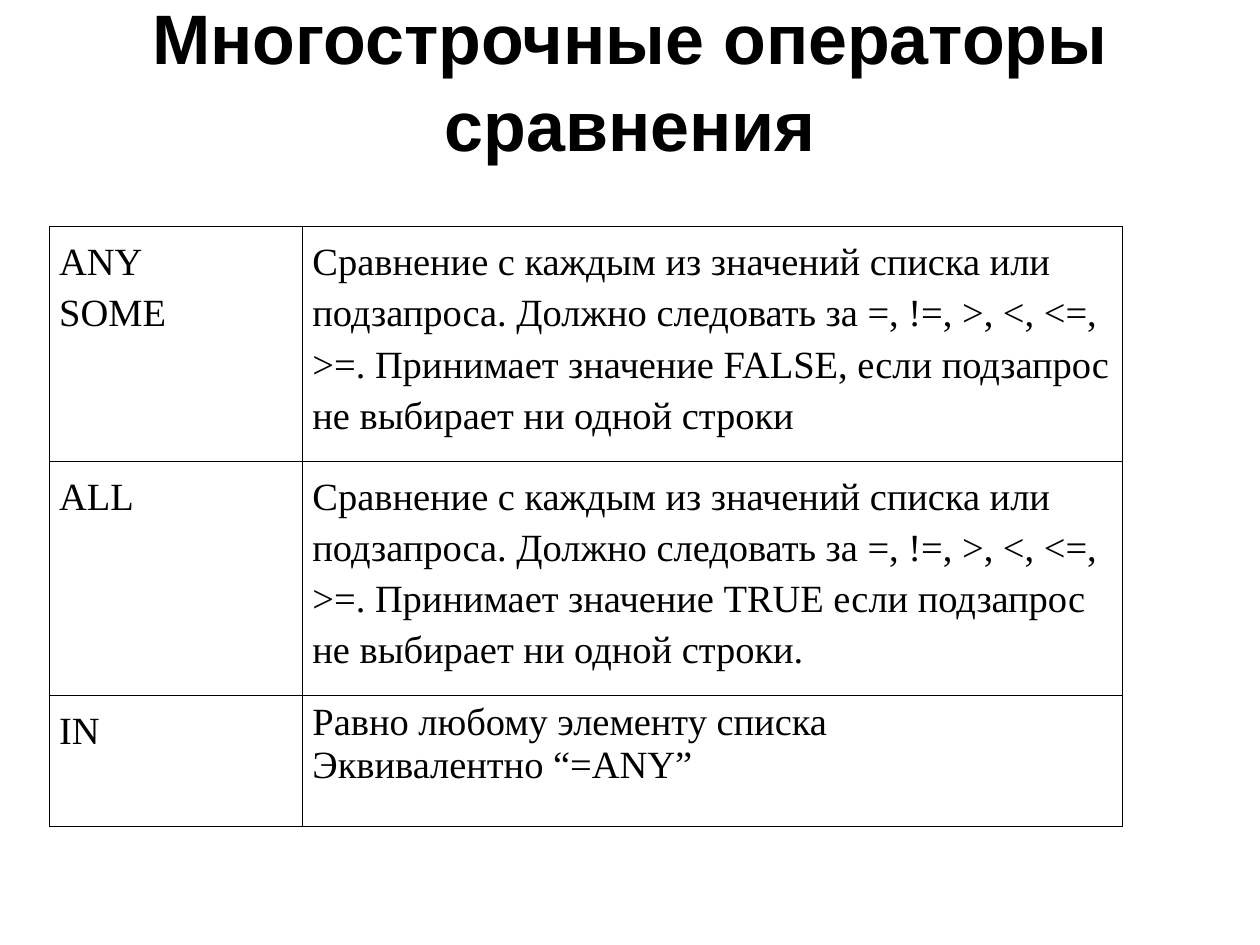
from pptx import Presentation
from pptx.dml.color import RGBColor
from pptx.enum.text import MSO_ANCHOR, PP_ALIGN
from pptx.oxml import parse_xml
from pptx.oxml.ns import nsdecls
from pptx.util import Inches, Pt

BLACK = RGBColor(0, 0, 0)
WHITE = RGBColor(255, 255, 255)

COMPARISON = (
    "Сравнение с каждым из значений списка или подзапроса. "
    "Должно следовать за =, !=, >, <, <=, >=. Принимает значение "
)
OPERATORS = [
    (["ANY", "SOME"],
     [COMPARISON + "FALSE, если подзапрос не выбирает ни одной строки"]),
    (["ALL"],
     [COMPARISON + "TRUE если подзапрос не выбирает ни одной строки."]),
    (["IN"],
     ["Равно любому элементу списка", "Эквивалентно “=ANY”"]),
]
COLUMN_WIDTHS = [2.01, 6.51]
ROW_HEIGHTS = [1.76, 1.76, 1.04]


def add_span(para, text, font_name, size, bold=False):
    """Add one black run to a paragraph."""
    span = para.add_run()
    span.text = text
    span.font.name = font_name
    span.font.size = Pt(size)
    span.font.bold = bold
    span.font.color.rgb = BLACK


def add_title(page, left, top, width, height):
    """Place the centred slide title in the given box."""
    box = page.shapes.add_textbox(left, top, width, height)
    frame = box.text_frame
    frame.word_wrap = True
    frame.vertical_anchor = MSO_ANCHOR.MIDDLE
    para = frame.paragraphs[0]
    para.alignment = PP_ALIGN.CENTER
    para.line_spacing = 1.04
    add_span(para, "Многострочные операторы сравнения", "Arial", 40, True)


def set_borders(cell):
    """Draw a thin black line on every side of a cell."""
    properties = cell._tc.get_or_add_tcPr()
    for index, side in enumerate(("lnL", "lnR", "lnT", "lnB")):
        properties.insert(index, parse_xml(
            f'<a:{side} {nsdecls("a")} w="{Pt(0.45)}"><a:solidFill>'
            f'<a:srgbClr val="{BLACK}"/></a:solidFill></a:{side}>'
        ))


def fill_cell(cell, lines, line_spacing, space_after):
    """Write the lines of a cell and set its look."""
    cell.margin_left = cell.margin_right = Inches(0.08)
    cell.margin_top = cell.margin_bottom = Inches(0.05)
    cell.fill.solid()
    cell.fill.fore_color.rgb = WHITE
    set_borders(cell)
    frame = cell.text_frame
    for index, line in enumerate(lines):
        para = frame.add_paragraph() if index else frame.paragraphs[0]
        para.line_spacing = line_spacing
        para.space_after = Pt(space_after)
        add_span(para, line, "Times New Roman", 22)


def add_operator_table(page, left, top, width, height):
    """Place the table of operators and their meanings in the given box."""
    table = page.shapes.add_table(
        len(OPERATORS), len(COLUMN_WIDTHS), left, top, width, height
    ).table
    table.first_row = table.horz_banding = False
    for column, column_width in zip(table.columns, COLUMN_WIDTHS):
        column.width = Inches(column_width)
    for row, row_height, (names, meaning) in zip(
        table.rows, ROW_HEIGHTS, OPERATORS
    ):
        row.height = Inches(row_height)
        single = len(meaning) == 1
        fill_cell(row.cells[0], names, 1.2, 0)
        fill_cell(row.cells[1], meaning, 1.2 if single else 1.0,
                  3 if single else 0)


def main():
    """Build the deck and save it."""
    deck = Presentation()
    deck.slide_width = Inches(10)
    deck.slide_height = Inches(7.5)
    page = deck.slides.add_slide(deck.slide_layouts[6])
    add_title(page, Inches(0.5), Inches(0.3), Inches(9), Inches(0.64))
    add_operator_table(page, Inches(0.39), Inches(1.8),
                       Inches(sum(COLUMN_WIDTHS)), Inches(sum(ROW_HEIGHTS)))
    deck.save("out.pptx")


if __name__ == "__main__":
    main()
